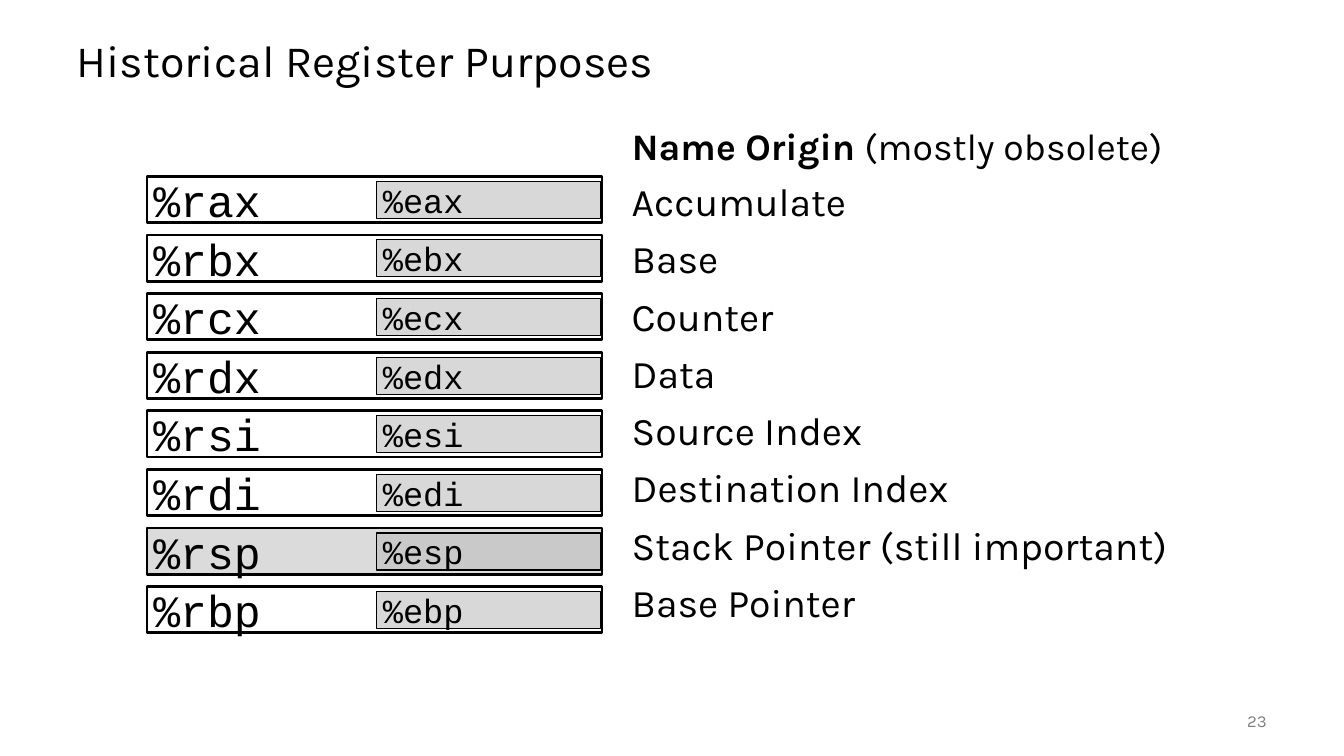
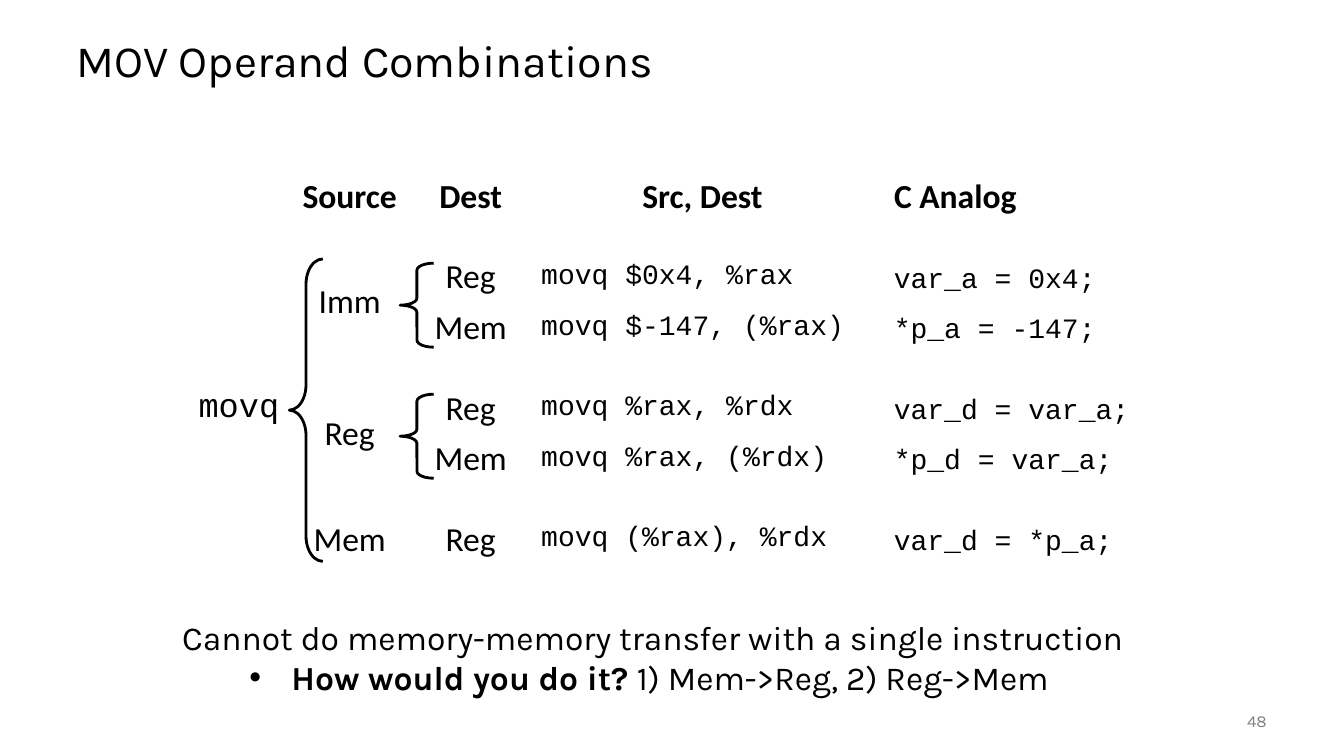
from itertools import accumulate

from lxml.etree import SubElement
from pptx import Presentation
from pptx.dml.color import RGBColor
from pptx.enum.shapes import MSO_SHAPE as Preset
from pptx.enum.text import MSO_ANCHOR as Anchor, MSO_AUTO_SIZE as AutoSize, PP_ALIGN as Align
from pptx.oxml.ns import qn
from pptx.util import Pt

BLACK = RGBColor(0x00, 0x00, 0x00)
NUMBER_GRAY = RGBColor(0x80, 0x80, 0x80)
LOW_GRAY = RGBColor(0xD8, 0xD8, 0xD8)
STACK_GRAY = RGBColor(0xDB, 0xDB, 0xDB)
STACK_LOW_GRAY = RGBColor(0xC9, 0xC9, 0xC9)

TEXT_FONT = "Karla"
TABLE_FONT = "Calibri"
CODE_FONT = "Courier New"

REGISTERS = ["ax", "bx", "cx", "dx", "si", "di", "sp", "bp"]
ORIGINS = [
    "Accumulate",
    "Base",
    "Counter",
    "Data",
    "Source Index",
    "Destination Index",
    "Stack Pointer (still important)",
    "Base Pointer",
]

COLUMN_WIDTHS = [72, 86.4, 86.4, 252, 187.2]
HEADINGS = ["", "Source", "Dest", "Src, Dest", "C Analog"]
GAP_ROW = [""] * 5
OPERANDS = [
    HEADINGS,
    GAP_ROW,
    ["movq", "Imm", "Reg", "movq $0x4, %rax", ""],
    ["", "", "Mem", "movq $-147, (%rax)", ""],
    GAP_ROW,
    ["", "Reg", "Reg", "movq %rax, %rdx", ""],
    ["", "", "Mem", "movq %rax, (%rdx)", ""],
    GAP_ROW,
    ["", "Mem", "Reg", "movq (%rax), %rdx", ""],
]
MERGES = [((2, 0), (8, 0)), ((2, 1), (3, 1)), ((5, 1), (6, 1))]
ANALOGS = {
    2: "var_a = 0x4;",
    3: "*p_a = -147;",
    5: "var_d = var_a;",
    6: "*p_d = var_a;",
    8: "var_d = *p_a;",
}


def style(para, size, font=TEXT_FONT, bold=False, color=BLACK, align=Align.LEFT):
    """Format a paragraph and all its runs."""
    para.alignment = align
    for span in para.runs:
        span.font.size = Pt(size)
        span.font.name = font
        span.font.bold = bold
        span.font.color.rgb = color


def add_text(page, left, top, width, height, text, size, anchor=Anchor.TOP, **look):
    """Add a wrapping text box and return its text frame."""
    frame = page.shapes.add_textbox(Pt(left), Pt(top), Pt(width), Pt(height)).text_frame
    frame.word_wrap = True
    frame.vertical_anchor = anchor
    frame.text = text
    for para in frame.paragraphs:
        style(para, size, **look)
    return frame


def add_page(deck, heading, number):
    """Add a title-only slide with its heading and page number."""
    page = deck.slides.add_slide(deck.slide_layouts[5])
    title = page.shapes.title
    title.left, title.top, title.width, title.height = Pt(47.5), Pt(18), Pt(864), Pt(54)
    frame = title.text_frame
    frame.text = heading
    frame.auto_size = AutoSize.NONE
    frame.vertical_anchor = Anchor.MIDDLE
    frame.paragraphs[0].line_spacing = 0.9
    style(frame.paragraphs[0], 32)
    add_text(page, 840, 500.4, 72, 28.8, number, 12, Anchor.MIDDLE,
             color=NUMBER_GRAY, align=Align.RIGHT)
    return page


def add_cell_box(page, left, top, width, height, text, size, fill, weight):
    """Add one outlined register box."""
    box = page.shapes.add_shape(Preset.RECTANGLE, Pt(left), Pt(top), Pt(width), Pt(height))
    box.shadow.inherit = False
    if fill is None:
        box.fill.background()
    else:
        box.fill.solid()
        box.fill.fore_color.rgb = fill
    box.line.color.rgb = BLACK
    box.line.width = Pt(weight)
    frame = box.text_frame
    frame.margin_left = frame.margin_right = frame.margin_top = frame.margin_bottom = Pt(4.5)
    frame.vertical_anchor = Anchor.MIDDLE
    frame.text = text
    style(frame.paragraphs[0], size, CODE_FONT)


def add_registers(page, left, top, width, pitch):
    """Stack the 64-bit registers, each holding its 32-bit half."""
    for index, name in enumerate(REGISTERS):
        stack = name == "sp"
        row_top = top + index * pitch
        add_cell_box(page, left, row_top, width, 33, "%r" + name, 32,
                     STACK_GRAY if stack else None, 2)
        add_cell_box(page, left + width / 2 + 1.5, row_top + 3.5, width / 2 - 2.5, 26.5,
                     "%e" + name, 24, STACK_LOW_GRAY if stack else LOW_GRAY,
                     1 if stack else 0.75)


def add_origins(page, left, top):
    """List the name origins under their heading."""
    frame = add_text(page, left, top, 411, 40, "Name Origin", 26.7, bold=True)
    span = frame.paragraphs[0].add_run()
    span.text = " (mostly obsolete)"
    span.font.size, span.font.name, span.font.color.rgb = Pt(26.7), TEXT_FONT, BLACK
    frame = add_text(page, left, top + 45.4, 468, 335.5, "\n".join(ORIGINS), 28)
    for index, para in enumerate(frame.paragraphs):
        para.line_spacing = 0.8
        para.space_before = Pt(14 if index else 0)


def add_brace(page, left, top, height, curve):
    """Add a left brace."""
    brace = page.shapes.add_shape(Preset.LEFT_BRACE, Pt(left), Pt(top), Pt(24), Pt(height))
    brace.shadow.inherit = False
    brace.adjustments[0] = curve
    brace.fill.background()
    brace.line.color.rgb = BLACK
    brace.line.width = Pt(2)


def fill_cell(cell, text, row, column):
    """Write and format one table cell."""
    cell.fill.background()
    cell.vertical_anchor = Anchor.MIDDLE
    cell.text = text
    para = cell.text_frame.paragraphs[0]
    if not text:
        SubElement(para._p, qn("a:endParaRPr")).set("sz", "800")
        return
    if column == 3:
        cell.margin_right = Pt(14.4)
    heading = row == 0
    code = text.startswith("movq")
    left = column == 4 or (column == 3 and not heading)
    style(para, 20 if column == 3 and not heading else 24,
          CODE_FONT if code else TABLE_FONT, heading,
          align=Align.LEFT if left else Align.CENTER)


def add_operands(page, left, top):
    """Add the operand table with its braces and C analogs."""
    heights = [21.6 if row is GAP_ROW else 36 for row in OPERANDS]
    row_tops = list(accumulate(heights, initial=top))
    column_lefts = list(accumulate(COLUMN_WIDTHS, initial=left))
    table = page.shapes.add_table(len(heights), len(COLUMN_WIDTHS), Pt(left), Pt(top),
                                  Pt(sum(COLUMN_WIDTHS)), Pt(sum(heights))).table
    table.first_row = table.horz_banding = False
    for column, width in zip(table.columns, COLUMN_WIDTHS):
        column.width = Pt(width)
    for row, height in zip(table.rows, heights):
        row.height = Pt(height)
    for row, texts in enumerate(OPERANDS):
        for column, text in enumerate(texts):
            fill_cell(table.cell(row, column), text, row, column)
    for first, last in MERGES:
        table.cell(*first).merge(table.cell(*last))

    add_brace(page, column_lefts[1], row_tops[2] + 5, 216, 0.75)
    for row in (2, 5):
        add_brace(page, column_lefts[2] - 7.2, row_tops[row] + 8, 60, 0.21)
    for row, text in ANALOGS.items():
        add_text(page, column_lefts[4], row_tops[row], COLUMN_WIDTHS[4], heights[row],
                 text, 20, Anchor.MIDDLE, font=CODE_FONT)


def add_question(page, left, top):
    """Add the closing remark and its bulleted question."""
    frame = add_text(page, left, top, 706, 65.5,
                     "Cannot do memory-memory transfer with a single instruction", 24)
    para = frame.add_paragraph()
    para.level = 1
    props = para._p.get_or_add_pPr()
    props.set("marL", str(Pt(78)))
    props.set("indent", str(-Pt(30)))
    SubElement(props, qn("a:buFont")).set("typeface", "Arial")
    SubElement(props, qn("a:buChar")).set("char", "•")
    for text in ("How would you do it? ", "1) Mem->Reg, 2) Reg->Mem"):
        para.add_run().text = text
    style(para, 24)
    para.runs[0].font.bold = True


def main():
    """Build and save the deck."""
    deck = Presentation()
    deck.slide_width, deck.slide_height = Pt(960), Pt(540)

    page = add_page(deck, "Historical Register Purposes", "23")
    add_registers(page, 105, 126, 325, 41.86)
    add_origins(page, 444.2, 84.2)

    page = add_page(deck, "MOV Operand Combinations", "48")
    add_operands(page, 134.6, 122.4)
    add_question(page, 123.1, 437)

    deck.save("out.pptx")


if __name__ == "__main__":
    main()
